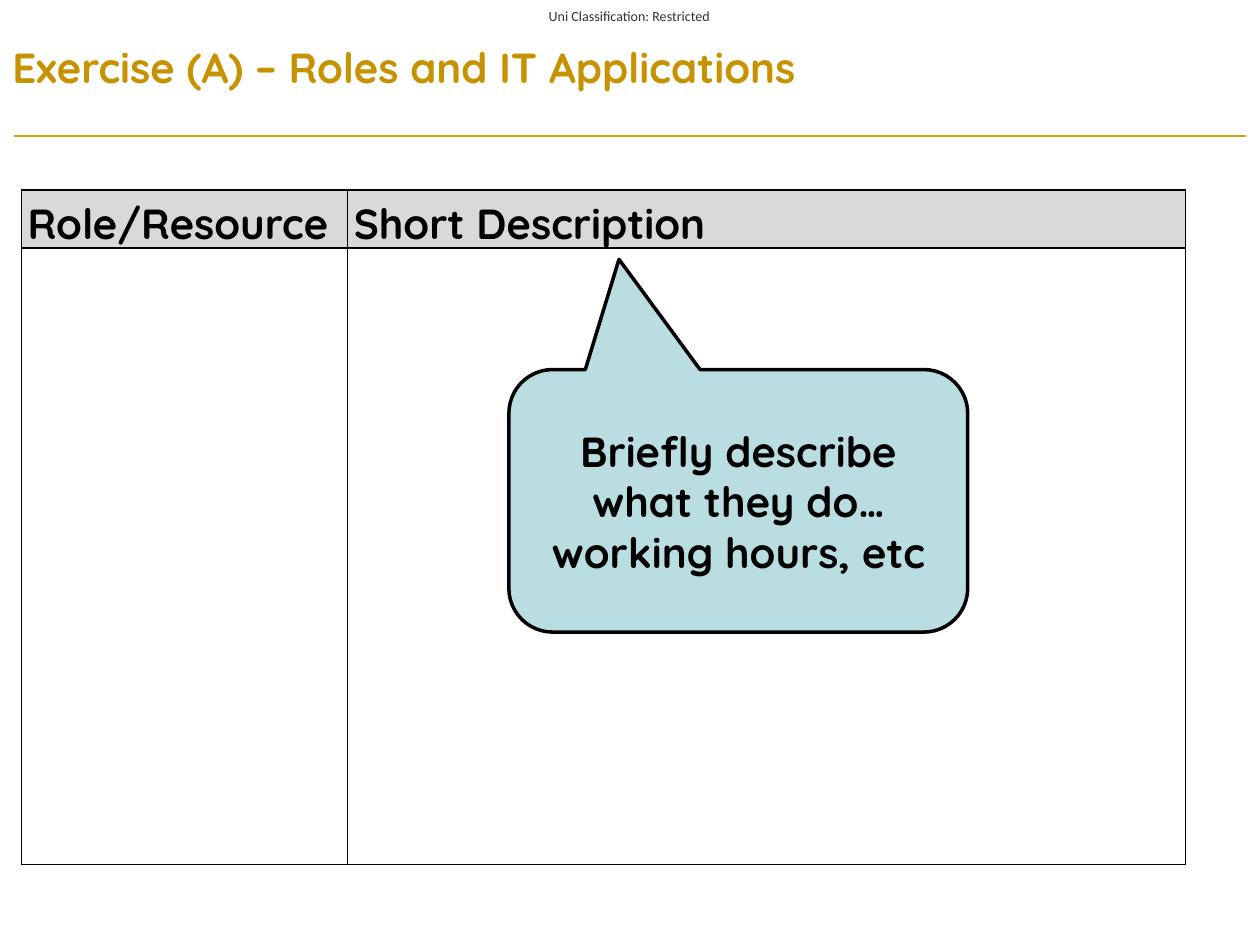
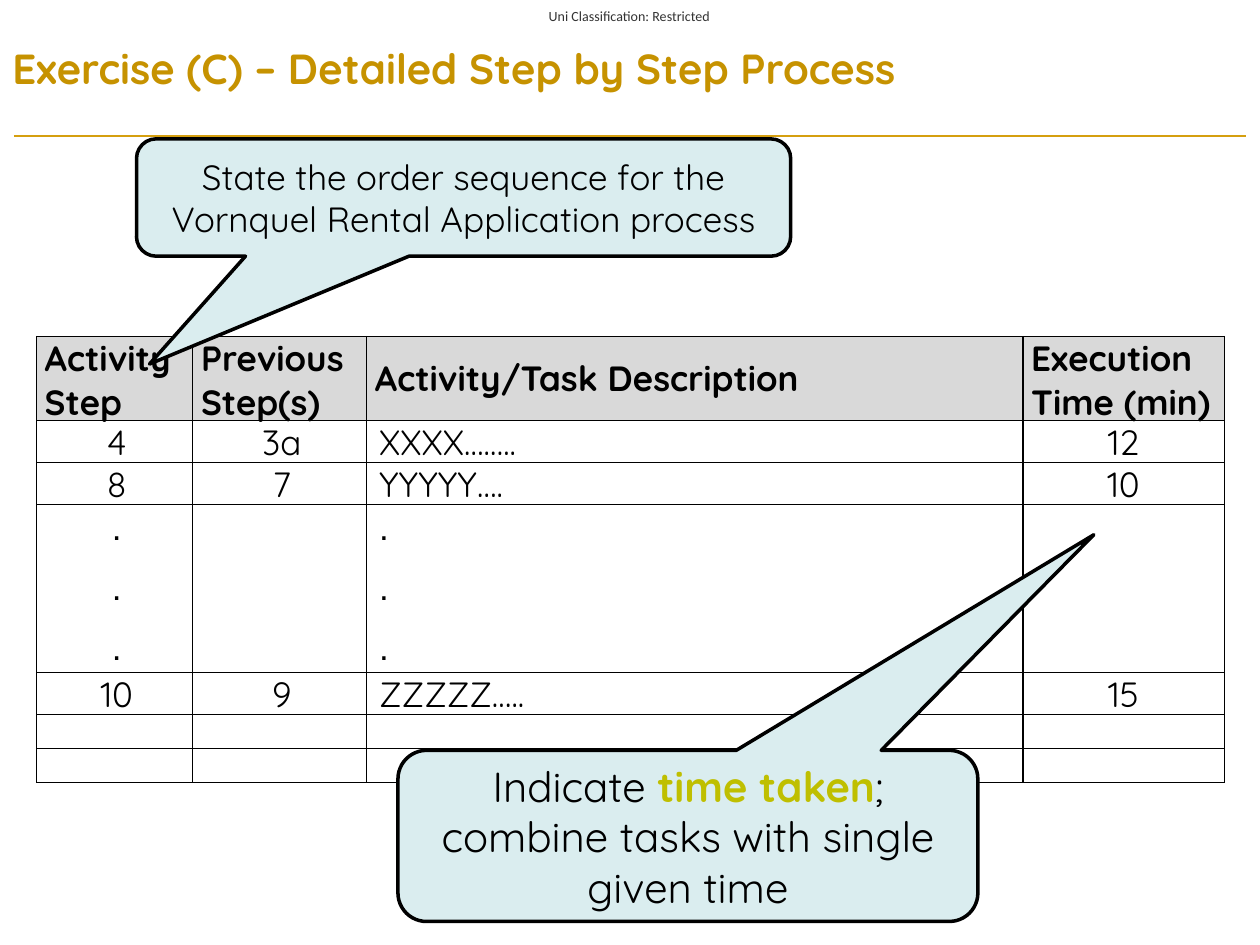
from lxml.etree import SubElement
from pptx import Presentation
from pptx.dml.color import RGBColor
from pptx.enum.shapes import MSO_CONNECTOR, MSO_SHAPE
from pptx.enum.text import MSO_ANCHOR, PP_ALIGN
from pptx.oxml.ns import qn
from pptx.util import Pt

BLACK = RGBColor(0x00, 0x00, 0x00)
WHITE = RGBColor(0xFF, 0xFF, 0xFF)
GOLD = RGBColor(0xC6, 0x92, 0x00)
RULE_GOLD = RGBColor(0xD5, 0x9F, 0x0F)
LABEL_GREY = RGBColor(0x33, 0x33, 0x33)
HEADER_GREY = RGBColor(0xD9, 0xD9, 0xD9)
TEAL = RGBColor(0xBA, 0xDD, 0xE1)
PALE_TEAL = RGBColor(0xDA, 0xED, 0xEF)
OLIVE = RGBColor(0xBF, 0xBF, 0x00)
FONT = "Quicksand"


def style_run(run, size, color=BLACK, bold=False, name=FONT):
    """Set the font of one run."""
    run.font.name = name
    run.font.size = Pt(size)
    run.font.bold = bold
    run.font.color.rgb = color


def add_label(slide, box, label, size, color, align=PP_ALIGN.LEFT, inset=7.2, **font):
    """Add a one-line text box, centred vertically in its box."""
    frame = slide.shapes.add_textbox(*map(Pt, box)).text_frame
    frame.word_wrap = True
    frame.vertical_anchor = MSO_ANCHOR.MIDDLE
    frame.margin_left = frame.margin_right = Pt(inset)
    frame.margin_top = frame.margin_bottom = Pt(0)
    frame.text = label
    line = frame.paragraphs[0]
    line.alignment = align
    style_run(line.runs[0], size, color, **font)


def add_page(deck, title, title_box):
    """Add a blank slide with the gold rule, classification and title."""
    slide = deck.slides.add_slide(deck.slide_layouts[6])
    slide.background.fill.solid()
    slide.background.fill.fore_color.rgb = WHITE
    rule = slide.shapes.add_connector(
        MSO_CONNECTOR.STRAIGHT, Pt(8), Pt(77.8), Pt(712), Pt(77.8))
    rule.line.color.rgb = RULE_GOLD
    rule.line.width = Pt(0.75)
    SubElement(rule._element.spPr, qn("a:effectLst"))
    add_label(slide, (301, 0, 117.4, 18), "Uni Classification: Restricted", 8,
              LABEL_GREY, PP_ALIGN.CENTER, inset=0, name="Calibri")
    add_label(slide, title_box, title, 24, GOLD, bold=True)
    return slide


def add_borders(cell, width):
    """Draw a black border on every side of a cell."""
    properties = cell._tc.get_or_add_tcPr()
    for side in ("a:lnL", "a:lnR", "a:lnT", "a:lnB"):
        border = SubElement(properties, qn(side), w=str(Pt(width)))
        fill = SubElement(border, qn("a:solidFill"))
        SubElement(fill, qn("a:srgbClr"), val=str(BLACK))


def prepare_cell(cell, border, inset, is_header):
    """Set the border, fill, insets and anchor of a cell."""
    add_borders(cell, border)
    if is_header:
        cell.fill.solid()
        cell.fill.fore_color.rgb = HEADER_GREY
    else:
        cell.fill.background()
    cell.margin_left = cell.margin_right = Pt(inset)
    cell.margin_top = cell.margin_bottom = Pt(0)
    cell.vertical_anchor = MSO_ANCHOR.MIDDLE


def fill_cell(cell, text, size, is_header, is_left, is_last, line_spacing):
    """Write the paragraphs of a cell."""
    cell.text_frame.text = text
    for paragraph in cell.text_frame.paragraphs:
        if not text:
            SubElement(paragraph._p, qn("a:endParaRPr"), sz="1200")
            continue
        if is_header:
            paragraph.line_spacing = line_spacing
        else:
            paragraph.space_before = paragraph.space_after = Pt(6)
            paragraph.alignment = PP_ALIGN.LEFT if is_left else PP_ALIGN.CENTER
            if not is_last:
                paragraph._p.get_or_add_pPr().set("marL", str(Pt(2.4)))
        name = "Arial" if paragraph.text == "." else FONT
        style_run(paragraph.runs[0], size, bold=is_header, name=name)


def add_grid(slide, origin, widths, heights, rows, size, border, inset,
             left_column=None, line_spacing=1.0):
    """Add a table with a grey header row at the given origin."""
    box = (*origin, sum(widths), sum(heights))
    grid = slide.shapes.add_table(len(heights), len(widths), *map(Pt, box)).table
    grid.horz_banding = grid.first_row = False
    for column, width in zip(grid.columns, widths):
        column.width = Pt(width)
    for row, height in zip(grid.rows, heights):
        row.height = Pt(height)
    for r, texts in enumerate(rows):
        for c, text in enumerate(texts):
            cell = grid.cell(r, c)
            prepare_cell(cell, border, inset, r == 0)
            fill_cell(cell, text, size, r == 0, c == left_column,
                      c == len(widths) - 1, line_spacing)


def add_callout(slide, box, tip, fill, size, parts):
    """Add a rounded callout; parts are (text, colour, bold), tip is its pointer."""
    callout = slide.shapes.add_shape(
        MSO_SHAPE.ROUNDED_RECTANGULAR_CALLOUT, *map(Pt, box))
    callout.adjustments[0], callout.adjustments[1] = tip
    callout.adjustments[2] = 0.167
    callout.shadow.inherit = False
    callout.fill.solid()
    callout.fill.fore_color.rgb = fill
    callout.line.color.rgb = BLACK
    callout.line.width = Pt(2)
    frame = callout.text_frame
    frame.word_wrap = True
    frame.vertical_anchor = MSO_ANCHOR.MIDDLE
    message = frame.paragraphs[0]
    message.alignment = PP_ALIGN.CENTER
    for text, color, bold in parts:
        run = message.add_run()
        run.text = text
        style_run(run, size, color, bold)


def build_roles_slide(deck):
    """Build the roles and resources exercise."""
    slide = add_page(deck, "Exercise (A) – Roles and IT Applications",
                     (0, 20.4, 600, 36))
    add_grid(slide, (12.2, 108.6), (186.4, 478.9), (24, 352.2),
             [("Role/Resource", "Short Description"), ("", "")],
             size=24, border=1, inset=3.6, line_spacing=1.15)
    add_callout(slide, (290.8, 211.2, 262.2, 150), (-0.26, -0.92), TEAL, 24,
                [("Briefly describe what they do… working hours, etc", BLACK, True)])


def build_process_slide(deck):
    """Build the step by step process exercise."""
    slide = add_page(deck, "Exercise (C) – Detailed Step by Step Process",
                     (0, 0, 720, 77))
    dots = "\n".join("...")
    rows = [
        ("Activity Step", "Previous Step(s)", "Activity/Task Description",
         "Execution Time (min)"),
        ("4", "3a", "XXXX……..", "12"),
        ("8", "7", "YYYYY….", "10"),
        (dots, "", dots, ""),
        ("10", "9", "ZZZZZ…..", "15"),
        ("",) * 4,
        ("",) * 4,
    ]
    add_grid(slide, (20.9, 192.2), (89.3, 99.4, 375, 115),
             (36, 19.4, 19.4, 19.4, 19.4, 19.4, 19.4), rows,
             size=20, border=0.75, inset=4.7, left_column=2)
    add_callout(slide, (78, 79.4, 373.8, 67), (-0.48, 1.42), PALE_TEAL, 20,
                [("State the order sequence for the Vornquel Rental Application "
                  "process", BLACK, False)])
    add_callout(slide, (227.4, 428.8, 331.4, 97.8), (0.7, -1.76), PALE_TEAL, 24,
                [("Indicate ", BLACK, False), ("time taken", OLIVE, True),
                 ("; combine tasks with single given time", BLACK, False)])


def main():
    """Build and save the presentation."""
    deck = Presentation()
    deck.slide_width, deck.slide_height = Pt(720), Pt(540)
    build_roles_slide(deck)
    build_process_slide(deck)
    deck.save("out.pptx")


if __name__ == "__main__":
    main()
